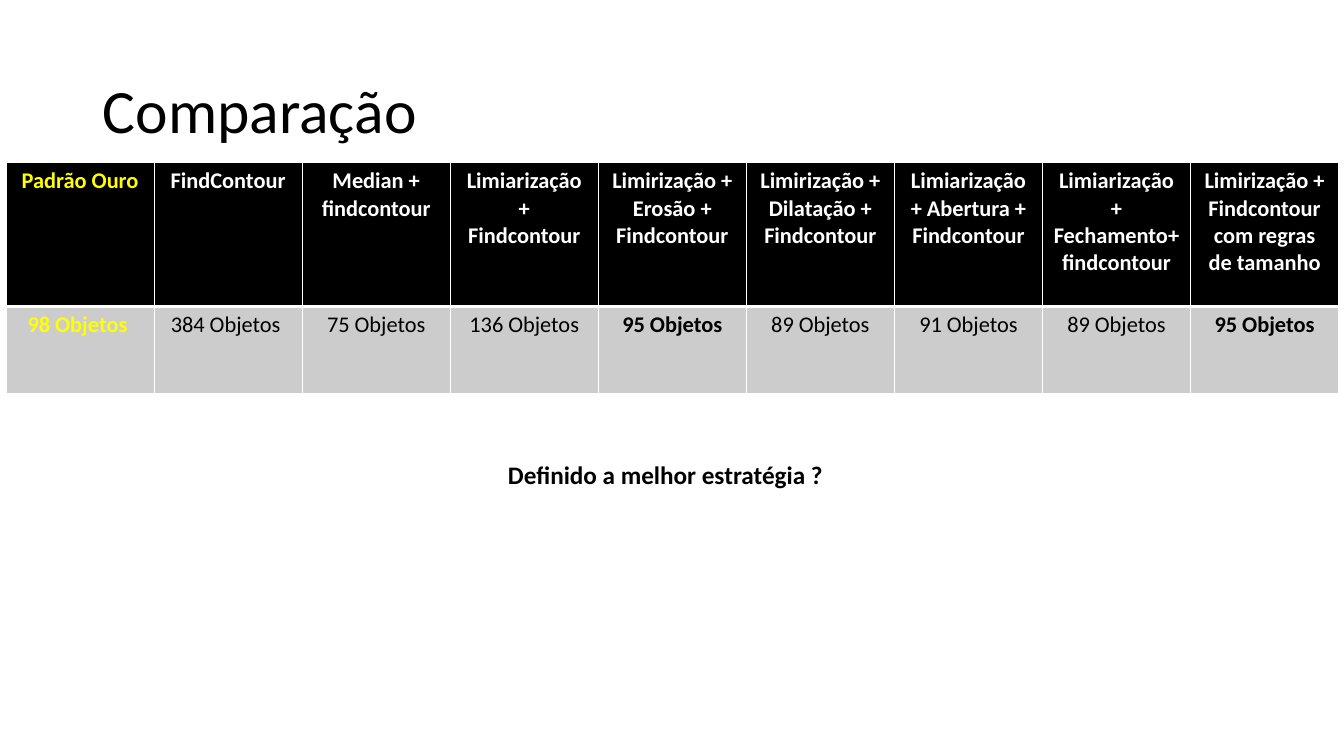
"""Slide comparing object counts across segmentation strategies."""
from dataclasses import dataclass

from lxml import etree
from pptx import Presentation
from pptx.dml.color import RGBColor
from pptx.enum import text
from pptx.oxml import ns
from pptx.util import Inches, Pt

TITLE = "Comparação"
NOTE = "Definido a melhor estratégia ?"
COUNTS = [
    ("Padrão Ouro", "98 Objetos "),
    ("FindContour", "384 Objetos "),
    ("Median + findcontour", "75 Objetos"),
    ("Limiarização + Findcontour", "136 Objetos"),
    ("Limirização + Erosão + Findcontour", "95 Objetos"),
    ("Limirização + Dilatação + Findcontour", "89 Objetos"),
    ("Limiarização + Abertura + Findcontour", "91 Objetos"),
    ("Limiarização + Fechamento+ findcontour", "89 Objetos"),
    ("Limirização + Findcontour com regras de tamanho", "95 Objetos"),
]
GOLD_COL = 0
BEST = "95 Objetos"
HEIGHTS = (1.43, 0.87)


@dataclass(frozen=True)
class Theme:
    font: str = "Calibri"
    black: str = "000000"
    white: str = "FFFFFF"
    gold: str = "FFFF00"
    gray: str = "CCCCCC"
    title: int = 44
    cell: int = 16
    note: int = 18
    thin: int = 1
    thick: int = 3


THEME = Theme()


def style(par, size, color, bold=False):
    font = par.font
    font.name, font.size, font.bold = THEME.font, Pt(size), bold
    font.color.rgb = RGBColor.from_string(color)


def border(cell, widths):
    props = cell._tc.get_or_add_tcPr()
    for spot, (side, width) in enumerate(zip("LRTB", widths)):
        line = etree.Element(ns.qn(f"a:ln{side}"), w=str(Pt(width)))
        fill = etree.SubElement(line, ns.qn("a:solidFill"))
        etree.SubElement(fill, ns.qn("a:srgbClr"), val=THEME.white)
        props.insert(spot, line)


def add_title(slide):
    title = slide.shapes.title
    title.left, title.top = Inches(0.92), Inches(0.4)
    title.width, title.height = Inches(11.5), Inches(1.45)
    frame = title.text_frame
    frame.text = TITLE
    frame.vertical_anchor = text.MSO_ANCHOR.MIDDLE
    par = frame.paragraphs[0]
    par.alignment, par.line_spacing = text.PP_ALIGN.LEFT, 0.9
    style(par, THEME.title, THEME.black)


def add_counts(slide):
    table = slide.shapes.add_table(
        len(HEIGHTS), len(COUNTS), Inches(0.06), Inches(1.61),
        Inches(13.22), Inches(sum(HEIGHTS))).table
    thin, thick = THEME.thin, THEME.thick
    looks = [(THEME.black, THEME.white, (thin, thin, thin, thick)),
             (THEME.gray, THEME.black, (thin, thin, thick, thin))]
    for row, height in zip(table.rows, HEIGHTS):
        row.height = Inches(height)
    for col, words in enumerate(COUNTS):
        for row, (word, look) in enumerate(zip(words, looks)):
            fill, ink, widths = look
            cell = table.cell(row, col)
            cell.text = word
            cell.fill.solid()
            cell.fill.fore_color.rgb = RGBColor.from_string(fill)
            border(cell, widths)
            gold = col == GOLD_COL
            par = cell.text_frame.paragraphs[0]
            par.alignment = text.PP_ALIGN.CENTER
            style(par, THEME.cell, THEME.gold if gold else ink,
                  row == 0 or gold or word == BEST)


def add_note(slide):
    box = slide.shapes.add_textbox(
        Inches(4.94), Inches(4.51), Inches(5.3), Inches(0.4))
    frame = box.text_frame
    frame.word_wrap = True
    frame.auto_size = text.MSO_AUTO_SIZE.SHAPE_TO_FIT_TEXT
    frame.text = NOTE
    style(frame.paragraphs[0], THEME.note, THEME.black, True)


def main():
    deck = Presentation()
    deck.slide_width, deck.slide_height = Inches(13.33), Inches(7.5)
    slide = deck.slides.add_slide(deck.slide_layouts[5])
    add_title(slide)
    add_counts(slide)
    add_note(slide)
    deck.save("out.pptx")


if __name__ == "__main__":
    main()
